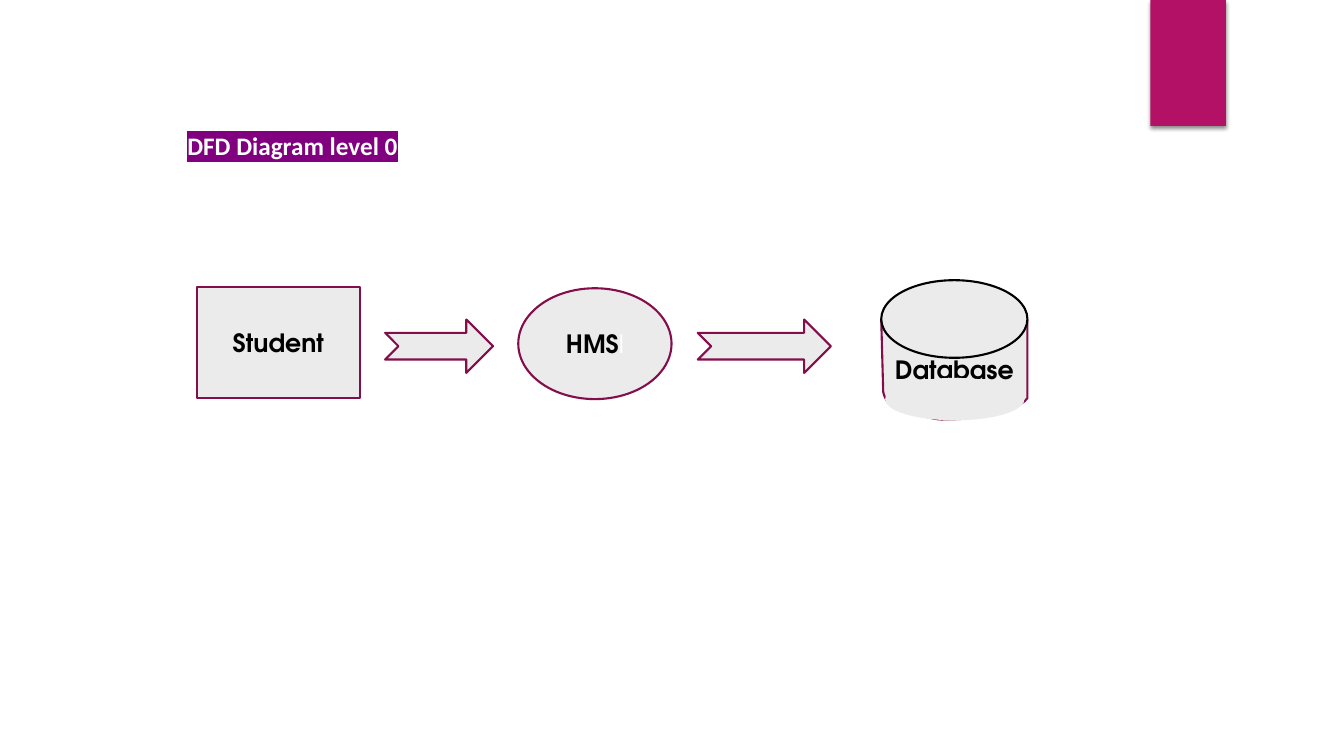
from dataclasses import dataclass

from lxml import etree
from pptx import Presentation
from pptx.dml.color import RGBColor
from pptx.enum.shapes import MSO_SHAPE
from pptx.enum.text import MSO_ANCHOR, MSO_AUTO_SIZE, PP_ALIGN
from pptx.oxml import parse_xml
from pptx.util import Inches, Pt

NS = "http://schemas.openxmlformats.org/drawingml/2006/main"


@dataclass(frozen=True)
class Theme:
    banner: str = "B31166"
    node: str = "EBEBEB"
    edge: str = "840D4B"
    dark: str = "000000"
    light: str = "FFFFFF"
    highlight: str = "800080"
    label_font: str = "TeX Gyre Adventor"
    title_font: str = "Calibri"
    size: int = 18
    line: float = 1.5


theme = Theme()


def style(shape, fill, line=None):
    shape.shadow.inherit = False
    shape.fill.solid()
    shape.fill.fore_color.rgb = RGBColor.from_string(fill)
    if line:
        shape.line.color.rgb = RGBColor.from_string(line)
        shape.line.width = Pt(theme.line)
    else:
        shape.line.fill.background()


def add_run(p, text, color, font, bold=True):
    r = p.add_run()
    r.text = text
    formats = {"size": Pt(theme.size), "name": font, "bold": bold}
    for name, value in formats.items():
        setattr(r.font, name, value)
    r.font.color.rgb = RGBColor.from_string(color)
    return r


prs = Presentation()
prs.slide_width, prs.slide_height = Inches(13.33), Inches(7.5)
s = prs.slides.add_slide(prs.slide_layouts[6])

# Corner banner with a soft shadow below
banner = s.shapes.add_shape(
    MSO_SHAPE.RECTANGLE, Inches(11.41), 0, Inches(0.75), Inches(1.25))
style(banner, theme.banner)
effects = banner._element.spPr.find(f"{{{NS}}}effectLst")
effects.append(parse_xml(
    f'<a:outerShdw xmlns:a="{NS}" blurRad="{Pt(3)}" dist="{Pt(2)}" dir="5400000" '
    f'algn="ctr" rotWithShape="0"><a:srgbClr val="{theme.dark}">'
    '<a:alpha val="45000"/></a:srgbClr></a:outerShdw>'))

# Process, entity and the arrows between them
flow = {}
for name, kind, box in (
    ("process", MSO_SHAPE.OVAL, (5.14, 2.86, 1.52, 1.1)),
    ("entity", MSO_SHAPE.RECTANGLE, (1.95, 2.85, 1.62, 1.1)),
    ("request", MSO_SHAPE.NOTCHED_RIGHT_ARROW, (3.82, 3.17, 1.07, 0.53)),
    ("storage", MSO_SHAPE.NOTCHED_RIGHT_ARROW, (6.92, 3.17, 1.32, 0.53)),
):
    flow[name] = s.shapes.add_shape(kind, *map(Inches, box))
    style(flow[name], theme.node, theme.edge)

# Database body: straight sides, curved base sampled from Bezier segments
base = [
    ((10.11, 4.08), (9.62, 4.17), (9.39, 4.16)),
    ((9.19, 4.18), (9.03, 4.05), (8.95, 4.03)),
    ((8.87, 4.01), (8.94, 4.07), (8.9, 4.04)),
    ((8.86, 4.01), (8.79, 4.02), (8.76, 3.89)),
]
steps = 12
outline = [(10.19, 3.17), (10.19, 3.95)]
for c1, c2, end in base:
    start = outline[-1]
    for i in range(1, steps + 1):
        t = i / steps
        weights = ((1 - t) ** 3, 3 * t * (1 - t) ** 2, 3 * t * t * (1 - t), t ** 3)
        outline.append(tuple(
            sum(w * v for w, v in zip(weights, axis))
            for axis in zip(start, c1, c2, end)))
builder = s.shapes.build_freeform(Inches(8.74), Inches(3.17))
builder.add_line_segments([(Inches(x), Inches(y)) for x, y in outline], close=True)
flow["database"] = builder.convert_to_shape()
style(flow["database"], theme.node, theme.edge)

# Node labels
for name, label in (("process", "HMS"), ("entity", "Student"), ("database", "Database")):
    tf = flow[name].text_frame
    for attr, value in {"vertical_anchor": MSO_ANCHOR.MIDDLE, "word_wrap": True}.items():
        setattr(tf, attr, value)
    p = tf.paragraphs[0]
    p.alignment = PP_ALIGN.CENTER
    add_run(p, label, theme.dark, theme.label_font)
add_run(flow["process"].text_frame.paragraphs[0], "l", theme.light,
        theme.label_font, bold=False)

# Database lid
lid = s.shapes.add_shape(
    MSO_SHAPE.OVAL, Inches(8.74), Inches(2.78), Inches(1.45), Inches(0.77))
style(lid, theme.node, theme.dark)

# Highlighted title
title = s.shapes.add_textbox(Inches(1.76), Inches(1.24), Inches(3.03), Inches(0.4))
tf = title.text_frame
for attr, value in {"word_wrap": True, "auto_size": MSO_AUTO_SIZE.SHAPE_TO_FIT_TEXT}.items():
    setattr(tf, attr, value)
r = add_run(tf.paragraphs[0], "DFD Diagram level 0", theme.light, theme.title_font)
highlight = etree.Element(f"{{{NS}}}highlight")
etree.SubElement(highlight, f"{{{NS}}}srgbClr", val=theme.highlight)
r.font._element.find(f"{{{NS}}}solidFill").addnext(highlight)

# Rounded database base
bottom = s.shapes.add_shape(
    MSO_SHAPE.OVAL, Inches(8.79), Inches(3.76), Inches(1.36), Inches(0.4))
style(bottom, theme.node, theme.node)

prs.save("out.pptx")
